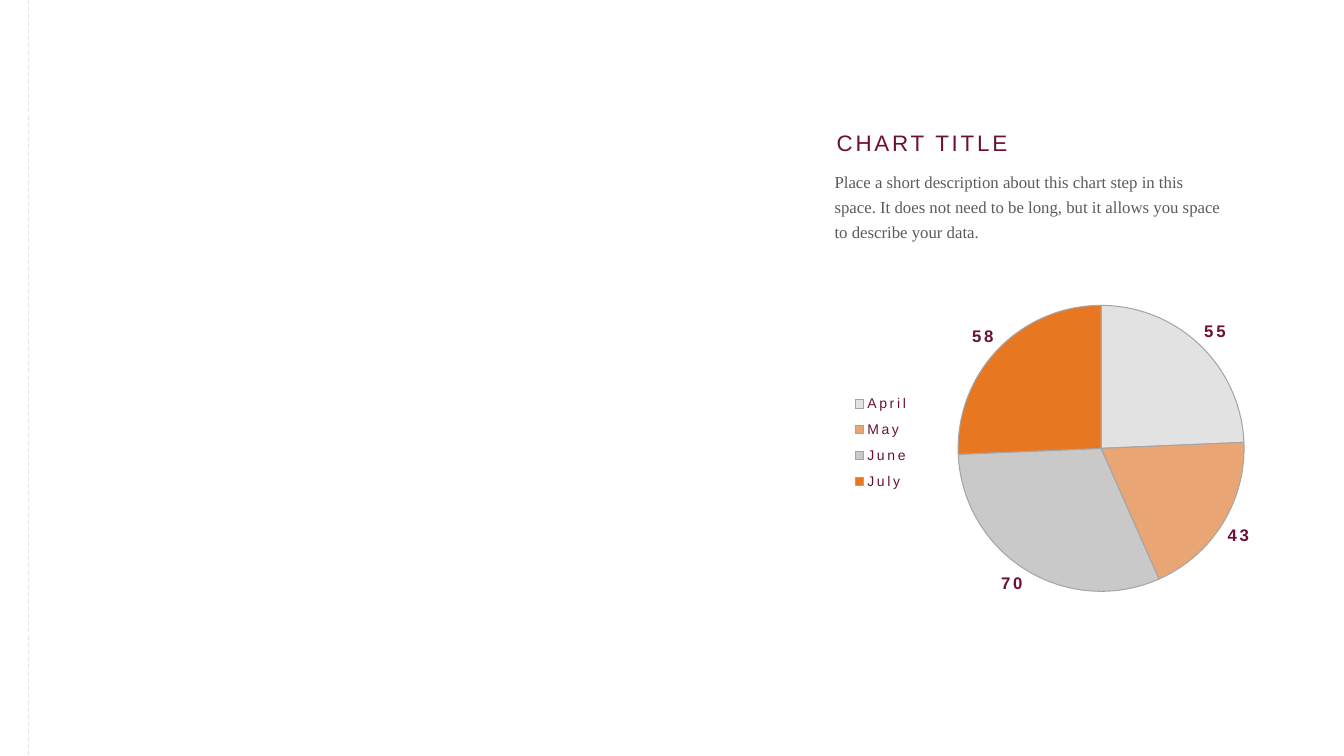
from typing import Any, NamedTuple

from lxml.etree import SubElement
from pptx import Presentation
from pptx.chart.data import CategoryChartData
from pptx.dml.color import RGBColor
from pptx.enum.chart import XL_CHART_TYPE, XL_LABEL_POSITION, XL_LEGEND_POSITION
from pptx.enum.dml import MSO_LINE
from pptx.enum.shapes import MSO_CONNECTOR
from pptx.enum.text import MSO_ANCHOR, MSO_AUTO_SIZE, PP_ALIGN
from pptx.oxml.ns import qn
from pptx.util import Pt

COLORS = {
    "wine": "6C1035",
    "body": "585C5E",
    "guide": "E5E1EF",
    "edge": "A5A5A5",
    "april": "DBDBDB",
    "may": "E9A574",
    "june": "C9C9C9",
    "july": "E87722",
}
LETTER_SPACING = "200"
SLIDE_WIDTH, SLIDE_HEIGHT = 960, 540


class Month(NamedTuple):
    name: str
    value: int
    color: str
    opacity: int = 100


class Box(NamedTuple):
    left: float
    top: float
    width: float
    height: float


MONTHS = [
    Month("April", 55, "april", 80),
    Month("May", 43, "may"),
    Month("June", 70, "june"),
    Month("July", 58, "july"),
]
TITLE_BOX = Box(594, 88.56, 144.72, 26.64)
DESCRIPTION_BOX = Box(592.56, 115.2, 283.68, 61.92)
CHART_BOX = Box(534.24, 121.68, 430.56, 405.36)
PIE_AREA = Box(0.222, 0.238, 0.728, 0.504)
LEGEND_AREA = Box(0.165, 0.38, 0.11, 0.2)
DESCRIPTION = (
    "Place a short description about this chart step in this space. "
    "It does not need to be long, but it allows you space to describe your data."
)


def rgb(key: str) -> RGBColor:
    """Return the named colour."""
    return RGBColor.from_string(COLORS[key])


def apply(target: Any, formats: dict[str, Any]) -> None:
    """Set every attribute listed in formats."""
    for attribute, value in formats.items():
        setattr(target, attribute, value)


def style_font(font: Any, name: str, size: float, color: str, bold: bool = False) -> None:
    """Give a font its face, size, weight and colour."""
    apply(font, {"name": name, "size": Pt(size), "bold": bold})
    font.color.rgb = rgb(color)


def fill_text(holder: Any, box: Box, text: str) -> Any:
    """Place a text holder and return its filled paragraph."""
    apply(holder, {side: Pt(length) for side, length in box._asdict().items()})
    margins = {f"margin_{side}": Pt(3.6) for side in ("left", "top", "right", "bottom")}
    apply(holder.text_frame, margins | {
        "word_wrap": True,
        "auto_size": MSO_AUTO_SIZE.NONE,
        "vertical_anchor": MSO_ANCHOR.TOP,
    })
    paragraph = holder.text_frame.paragraphs[0]
    paragraph.alignment = PP_ALIGN.LEFT
    paragraph.add_run().text = text
    return paragraph


def set_layout(parent: Any, index: int, area: Box, inner: bool = False) -> None:
    """Fix a chart part at fractions of the chart area."""
    for previous in parent.findall(qn("c:layout")):
        parent.remove(previous)
    layout = SubElement(parent, qn("c:layout"))
    parent.insert(index, layout)
    manual = SubElement(layout, qn("c:manualLayout"))
    settings = {"layoutTarget": "inner"} if inner else {}
    settings |= {"xMode": "edge", "yMode": "edge"}
    settings |= dict(zip("xywh", map(str, area)))
    for tag, value in settings.items():
        SubElement(manual, qn(f"c:{tag}")).set("val", value)


def draw_guide(slide: Any) -> None:
    """Draw the dashed vertical guide."""
    guide = slide.shapes.add_connector(
        MSO_CONNECTOR.STRAIGHT, Pt(20.3), Pt(0), Pt(20.3), Pt(SLIDE_HEIGHT)
    )
    apply(guide.line, {"width": Pt(0.75), "dash_style": MSO_LINE.DASH})
    guide.line.color.rgb = rgb("guide")
    SubElement(guide._element.spPr, qn("a:effectLst"))


def draw_pie(slide: Any) -> None:
    """Draw the pie of monthly values."""
    monthly = CategoryChartData()
    monthly.categories = [month.name for month in MONTHS]
    monthly.add_series("Series 1", [month.value for month in MONTHS])
    pie = slide.shapes.add_chart(XL_CHART_TYPE.PIE, *map(Pt, CHART_BOX), monthly).chart
    apply(pie, {"has_title": False, "has_legend": True})
    style_font(pie.font, "Arial", 10, "wine")
    apply(pie.legend, {"position": XL_LEGEND_POSITION.LEFT, "include_in_layout": False})
    style_font(pie.legend.font, "Arial", 10, "wine")
    plot = pie.plots[0]
    apply(plot, {"vary_by_categories": True, "has_data_labels": True})
    apply(plot.data_labels, {
        "show_value": True,
        "show_percentage": False,
        "number_format": "0",
        "number_format_is_linked": False,
        "position": XL_LABEL_POSITION.OUTSIDE_END,
    })
    style_font(plot.data_labels.font, "Arial", 12, "wine", bold=True)
    for index, month in enumerate(MONTHS):
        wedge = plot.series[0].points[index].format
        wedge.fill.solid()
        wedge.fill.fore_color.rgb = rgb(month.color)
        wedge.line.width = Pt(0.75)
        wedge.line.color.rgb = rgb("edge")
        if month.opacity < 100:
            shade = next(pie._chartSpace.iter(qn("a:srgbClr")))
            for candidate in pie._chartSpace.iter(qn("a:srgbClr")):
                if candidate.get("val") == COLORS[month.color]:
                    shade = candidate
            SubElement(shade, qn("a:alpha")).set("val", str(month.opacity * 1000))
    for properties in pie._chartSpace.iter(qn("a:defRPr")):
        properties.set("spc", LETTER_SPACING)
    set_layout(next(pie._chartSpace.iter(qn("c:plotArea"))), 0, PIE_AREA, inner=True)
    set_layout(next(pie._chartSpace.iter(qn("c:legend"))), 1, LEGEND_AREA)


def main() -> None:
    """Build and save the slide."""
    deck = Presentation()
    apply(deck, {"slide_width": Pt(SLIDE_WIDTH), "slide_height": Pt(SLIDE_HEIGHT)})
    slide = deck.slides.add_slide(deck.slide_layouts[5])
    draw_guide(slide)
    draw_pie(slide)
    heading = fill_text(slide.shapes.title, TITLE_BOX, "CHART TITLE").runs[0]
    style_font(heading.font, "Arial", 16, "wine")
    heading._r.get_or_add_rPr().set("spc", LETTER_SPACING)
    description = fill_text(
        slide.shapes.add_textbox(*map(Pt, DESCRIPTION_BOX)), DESCRIPTION_BOX, DESCRIPTION
    )
    description.line_spacing = Pt(18)
    style_font(description.runs[0].font, "Times New Roman", 12, "body")
    deck.save("out.pptx")


if __name__ == "__main__":
    main()
